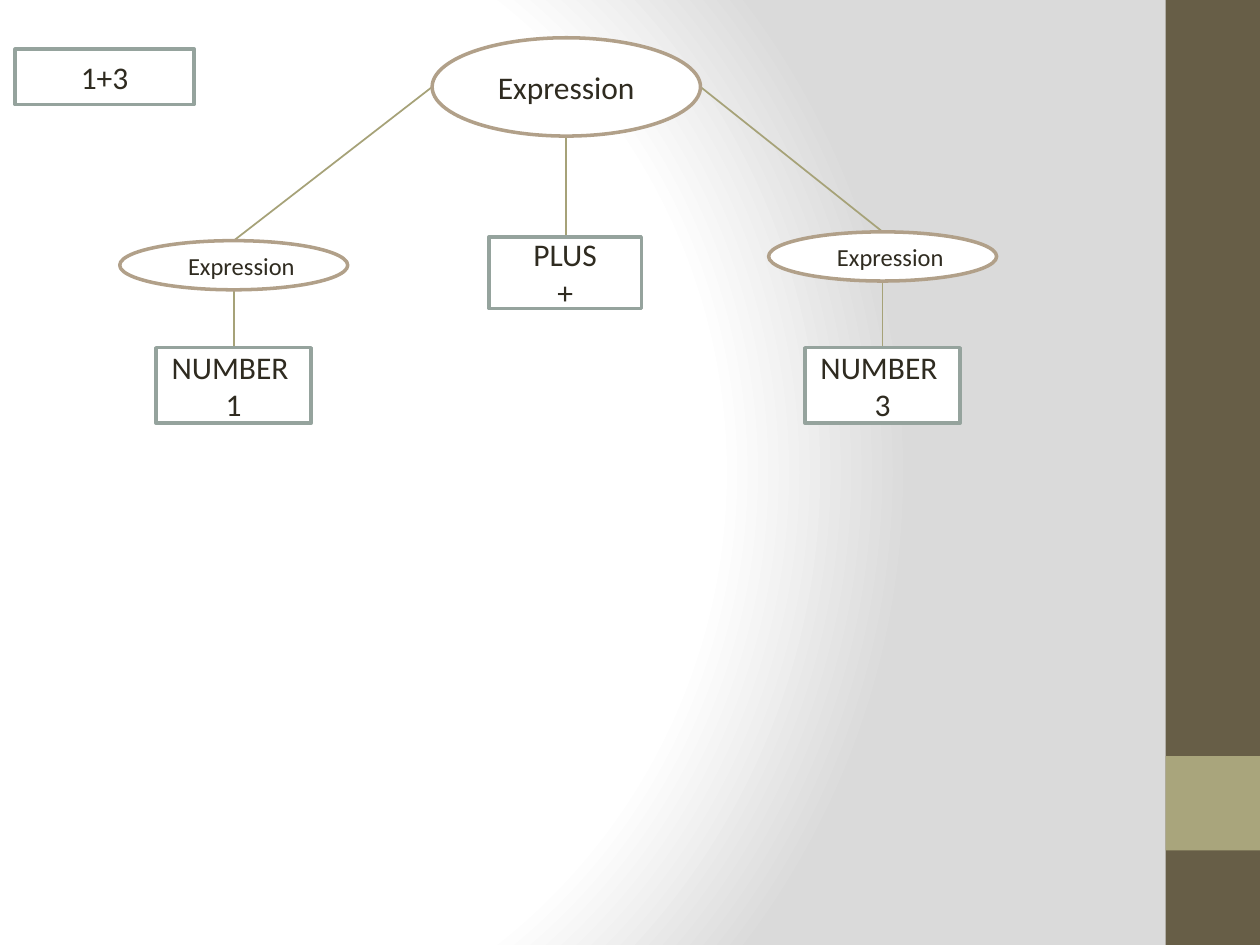
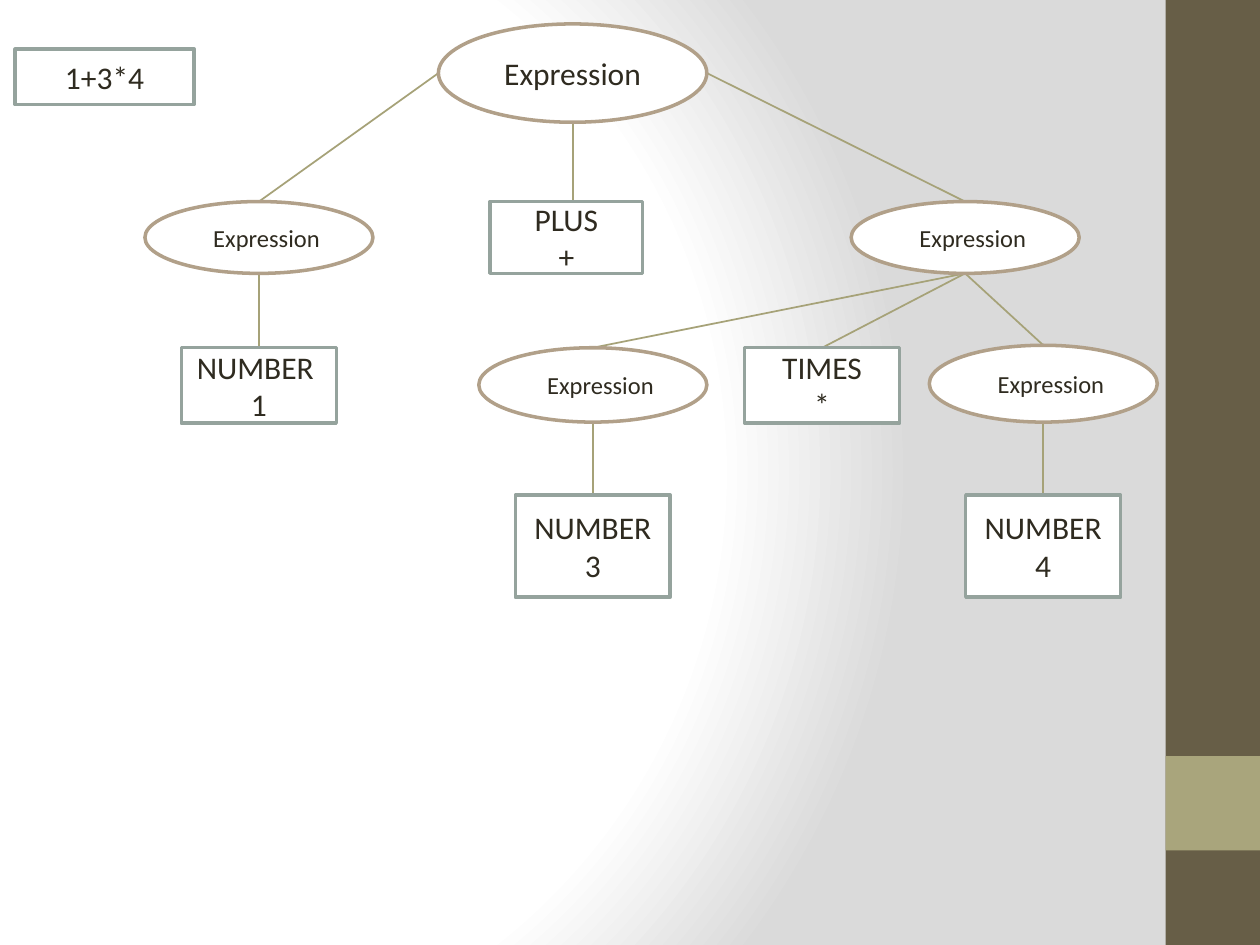
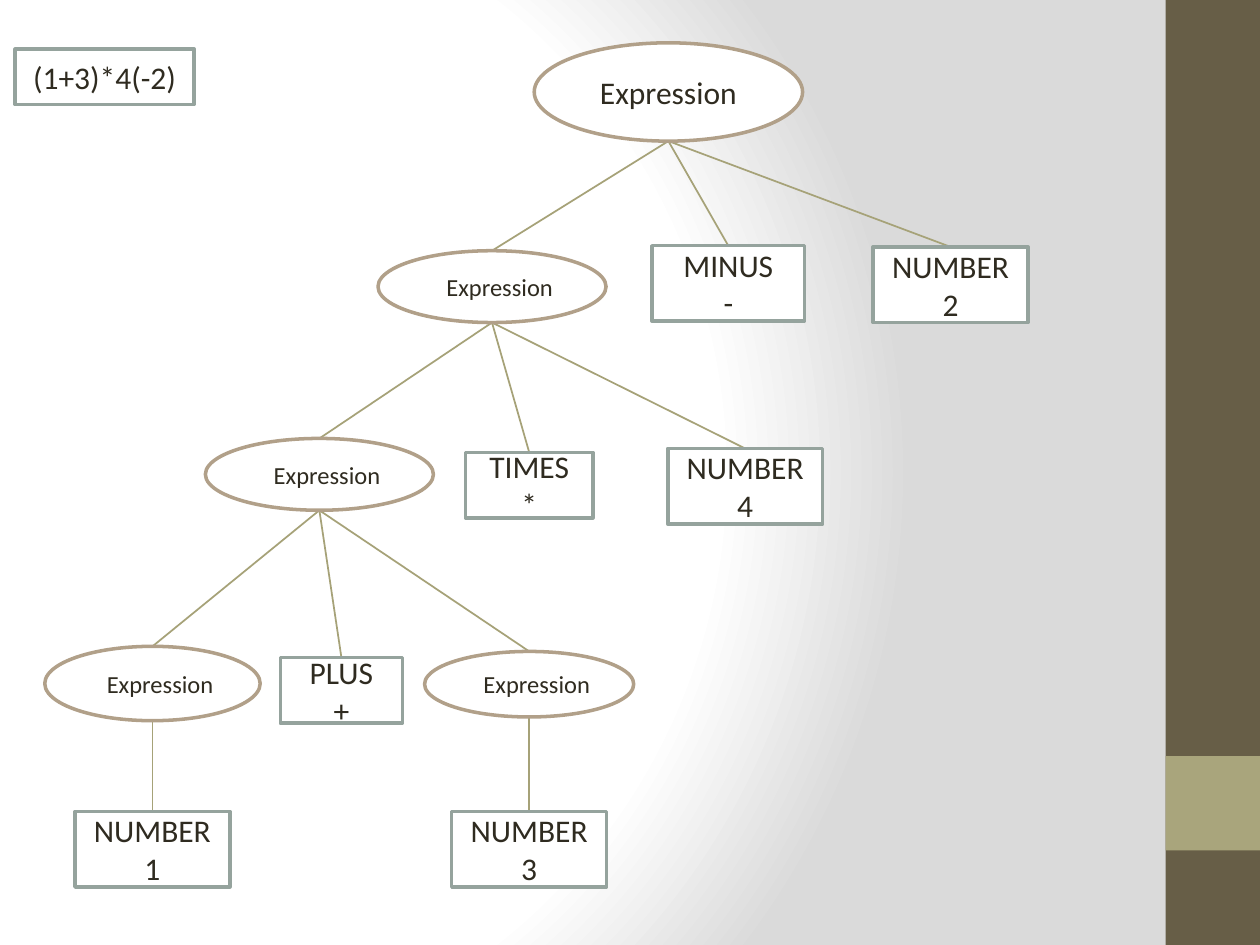
from dataclasses import dataclass

from lxml.etree import SubElement
from pptx import Presentation
from pptx.dml.color import RGBColor
from pptx.enum.shapes import MSO_CONNECTOR, MSO_SHAPE
from pptx.enum.text import MSO_ANCHOR, PP_ALIGN
from pptx.oxml import parse_xml
from pptx.oxml.ns import nsdecls, qn
from pptx.util import Inches, Pt

COLORS = {
    "paper": "FFFFFF",
    "shade": "DADADA",
    "band": "675E47",
    "accent": "A9A57C",
    "ellipse": "B1A089",
    "box": "95A39D",
    "branch": "A6A278",
    "text": "2F2B20",
}
FONT = "Calibri"

# The slide is a grid of square cells; every length below counts cells.
COLUMNS, ROWS = 100, 75
CELL = Inches(0.1)
ROOT = (21.3, 7.8)
SMALL = (18.1, 5.7)
FLAT = (18.1, 3.9)
TOKEN = (12.3, 6)
TALL_TOKEN = (12.3, 8.1)
OPERATOR = (12.1, 5.7)


@dataclass
class Box:
    """An area of the grid."""
    left: float
    top: float
    width: float
    height: float

    @property
    def center(self):
        return self.left + self.width / 2

    def inside(self, outer):
        """Move this box from the coordinates of an outer box to the slide's."""
        return Box(outer.left + self.left, outer.top + self.top, self.width, self.height)


@dataclass
class Node:
    """One node of a parse tree, with the nodes below it."""
    text: str
    box: Box
    children: tuple = ()
    kind: str = "box"
    from_sides: bool = False


TREE_AREA = Box(0, 0, 92.5, ROWS)
LABEL_AREA = Box(1.2, 3.9, 14.2, 4.4)
BAND_AREA = Box(92.5, 0, 7.5, ROWS)


def cells(*counts):
    """Turn counts of cells into lengths."""
    return [round(count * CELL) for count in counts]


def color(name):
    """Look up a colour by its role."""
    return RGBColor.from_string(COLORS[name])


def node_box(center, top, size):
    """Make a box of a given size hung from its top centre."""
    return Box(center - size[0] / 2, top, *size)


def expression(center, top, *children, size=SMALL, from_sides=False):
    """Make an inner node."""
    return Node("Expression", node_box(center, top, size), children, "ellipse", from_sides)


def token(text, center, top, size=TOKEN):
    """Make a leaf node."""
    return Node(text, node_box(center, top, size))


def add_block(slide, preset, box, fill):
    """Add a flat shape without an outline."""
    shape = slide.shapes.add_shape(
        preset, *cells(box.left, box.top, box.width, box.height))
    shape.shadow.inherit = False
    shape.fill.solid()
    shape.fill.fore_color.rgb = color(fill)
    shape.line.fill.background()
    return shape


def add_label(slide, box, text, kind="box", size=18, indent=0):
    """Add an outlined box or ellipse with centred text."""
    preset = MSO_SHAPE.OVAL if kind == "ellipse" else MSO_SHAPE.RECTANGLE
    shape = add_block(slide, preset, box, "paper")
    shape.line.color.rgb = color(kind)
    shape.line.width = Pt(2)
    frame = shape.text_frame
    frame.word_wrap = True
    frame.vertical_anchor = MSO_ANCHOR.MIDDLE
    frame.margin_left += Inches(indent)
    frame.text = text
    for paragraph in frame.paragraphs:
        paragraph.alignment = PP_ALIGN.CENTER
        paragraph.font.size = Pt(size)
        paragraph.font.name = FONT
        paragraph.font.color.rgb = color("text")
        if indent:
            paragraph.space_before = Pt(0.2 * size)


def add_branch(slide, area, parent, child):
    """Join a parent node to the top of a child."""
    start, end = parent.box.inside(area), child.box.inside(area)
    x, y, end_x = start.center, start.top + start.height, end.center
    if abs(end_x - x) < 1:
        end_x = x
    elif parent.from_sides:
        x = start.left if end_x < x else start.left + start.width
        y = start.top + start.height / 2
    connector = slide.shapes.add_connector(
        MSO_CONNECTOR.STRAIGHT, *cells(x, y, end_x, end.top))
    connector.line.color.rgb = color("branch")
    connector.line.width = Pt(1)
    SubElement(connector.element.spPr, qn("a:effectLst"))


def draw_tree(slide, area, node):
    """Draw a node, its branches and everything below it in an area."""
    for child in node.children:
        add_branch(slide, area, node, child)
        draw_tree(slide, area, child)
    is_inner = node.kind == "ellipse" and node.box.width < ROOT[0]
    add_label(slide, node.box.inside(area), node.text, node.kind,
              14 if is_inner else 18, 0.12 if is_inner else 0)


def style_background(master):
    """Give the master a round gradient."""
    fill = master.background.fill
    fill.gradient()
    stops = "".join(
        f'<a:gs pos="{share * 1000}"><a:srgbClr val="{COLORS[name]}"/></a:gs>'
        for share, name in ((0, "paper"), (75, "paper"), (100, "shade")))
    gradient = parse_xml(
        f'<a:gradFill {nsdecls("a")} rotWithShape="1"><a:gsLst>{stops}</a:gsLst>'
        '<a:path path="circle"><a:fillToRect l="20000" t="50000" r="100000" b="50000"/>'
        '</a:path></a:gradFill>')
    linear = master.element.xpath("./p:cSld/p:bg/p:bgPr/a:gradFill")[0]
    linear.getparent().replace(linear, gradient)


def move_bands_to_master(slide, master, area):
    """Make the side band and its square, and hand them to the master."""
    square = Box(0, 0.8 * area.height, area.width, area.width).inside(area)
    for box, fill in ((area, "band"), (square, "accent")):
        shape = add_block(slide, MSO_SHAPE.RECTANGLE, box, fill)
        master.element.cSld.spTree.append(shape.element)


def tree_slide(presentation, formula, tree):
    """Add a slide with a formula and its parse tree."""
    slide = presentation.slides.add_slide(presentation.slide_layouts[6])
    draw_tree(slide, TREE_AREA, tree)
    add_label(slide, LABEL_AREA, formula)
    return slide


SUM = expression(
    44.95, 3,
    expression(18.55, 19.1, token("NUMBER \n1", 18.55, 27.6), size=FLAT),
    token("PLUS\n+", 44.85, 18.8, OPERATOR),
    expression(70.05, 18.4, token("NUMBER \n3", 70.05, 27.6), size=FLAT),
    size=ROOT, from_sides=True)

SUM_OF_PRODUCT = expression(
    45.45, 1.9,
    expression(20.55, 16, token("NUMBER \n1", 20.55, 27.6)),
    token("PLUS\n+", 44.95, 16, OPERATOR),
    expression(
        76.6, 16,
        expression(47.05, 27.6, token("NUMBER\n3", 47.05, 39.3, TALL_TOKEN),
                   size=(18.1, 5.9)),
        token("TIMES\n*", 65.25, 27.6),
        expression(82.8, 27.4, token("NUMBER\n4", 82.8, 39.3, TALL_TOKEN),
                   size=(18.1, 6.1))),
    size=ROOT, from_sides=True)

DIFFERENCE = expression(
    53.05, 3.4,
    expression(
        39.05, 19.9,
        expression(
            25.35, 34.8,
            expression(12.1, 51.3, token("NUMBER\n1", 12.1, 64.4), size=(17.1, 5.9)),
            token("PLUS\n+", 27.1, 52.2, (9.7, 5.2)),
            expression(42, 51.7, token("NUMBER\n3", 42, 64.4), size=(16.6, 5.2))),
        token("TIMES\n*", 42, 35.9, (10.1, 5.2)),
        token("NUMBER\n4", 59.15, 35.6)),
    token("MINUS\n-", 57.8, 19.5, (12.1, 6)),
    token("NUMBER\n2", 75.45, 19.6),
    size=ROOT)

presentation = Presentation()
presentation.slide_width, presentation.slide_height = cells(COLUMNS, ROWS)
slides = [
    tree_slide(presentation, formula, tree)
    for formula, tree in (
        ("1+3", SUM), ("1+3*4", SUM_OF_PRODUCT), ("(1+3)*4(-2)", DIFFERENCE))
]
style_background(presentation.slide_master)
move_bands_to_master(slides[0], presentation.slide_master, BAND_AREA)
presentation.save("out.pptx")
